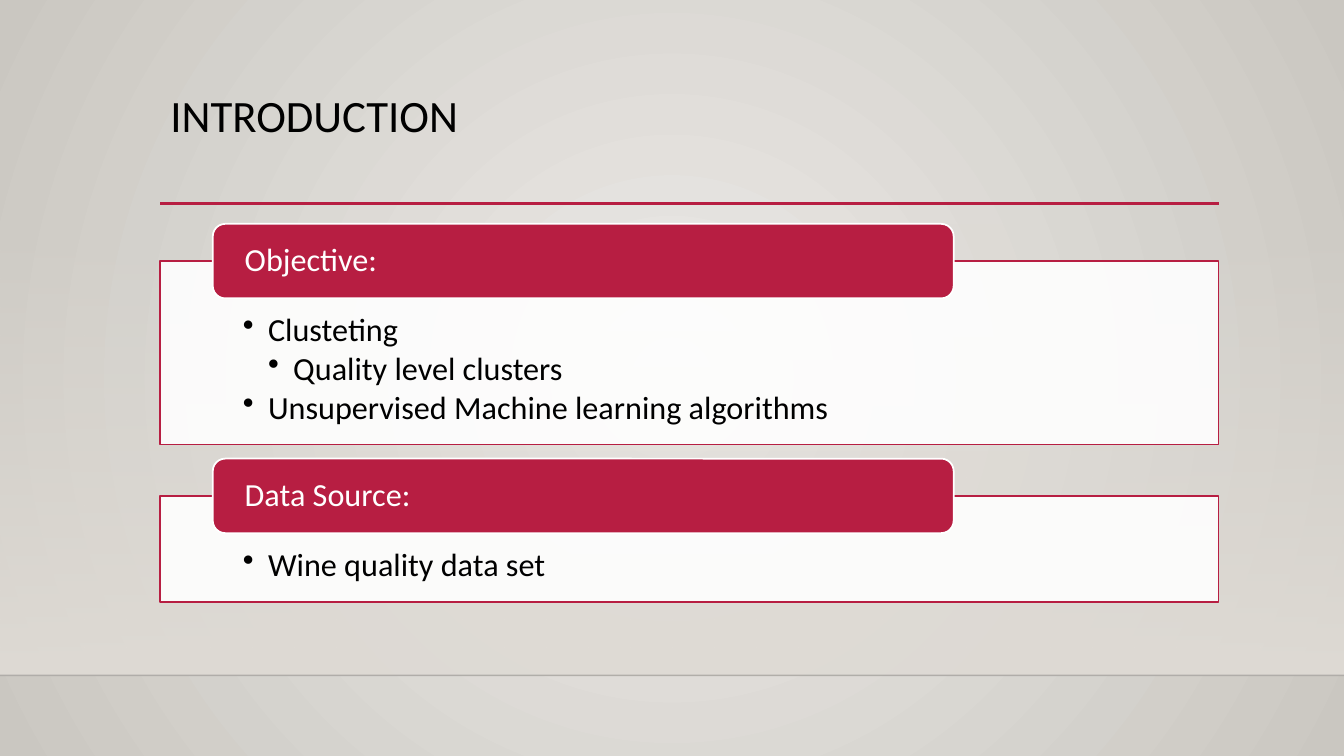
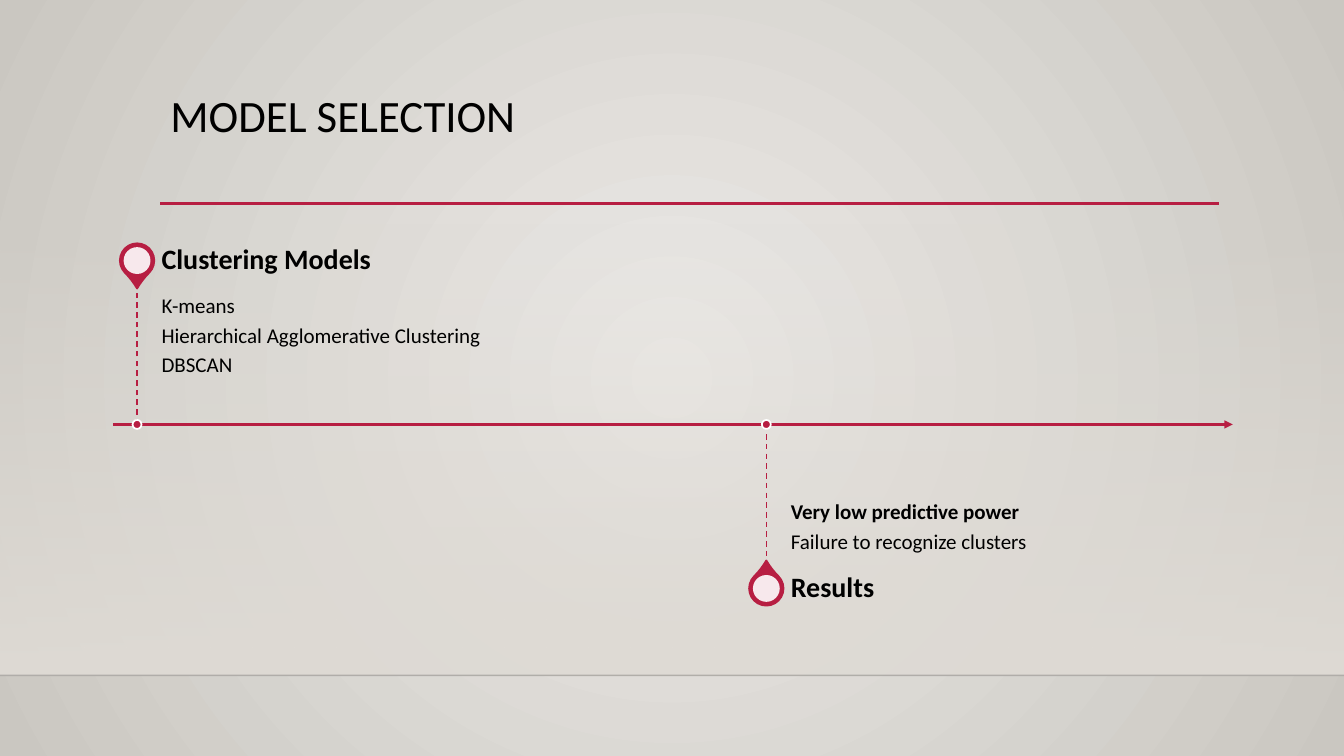
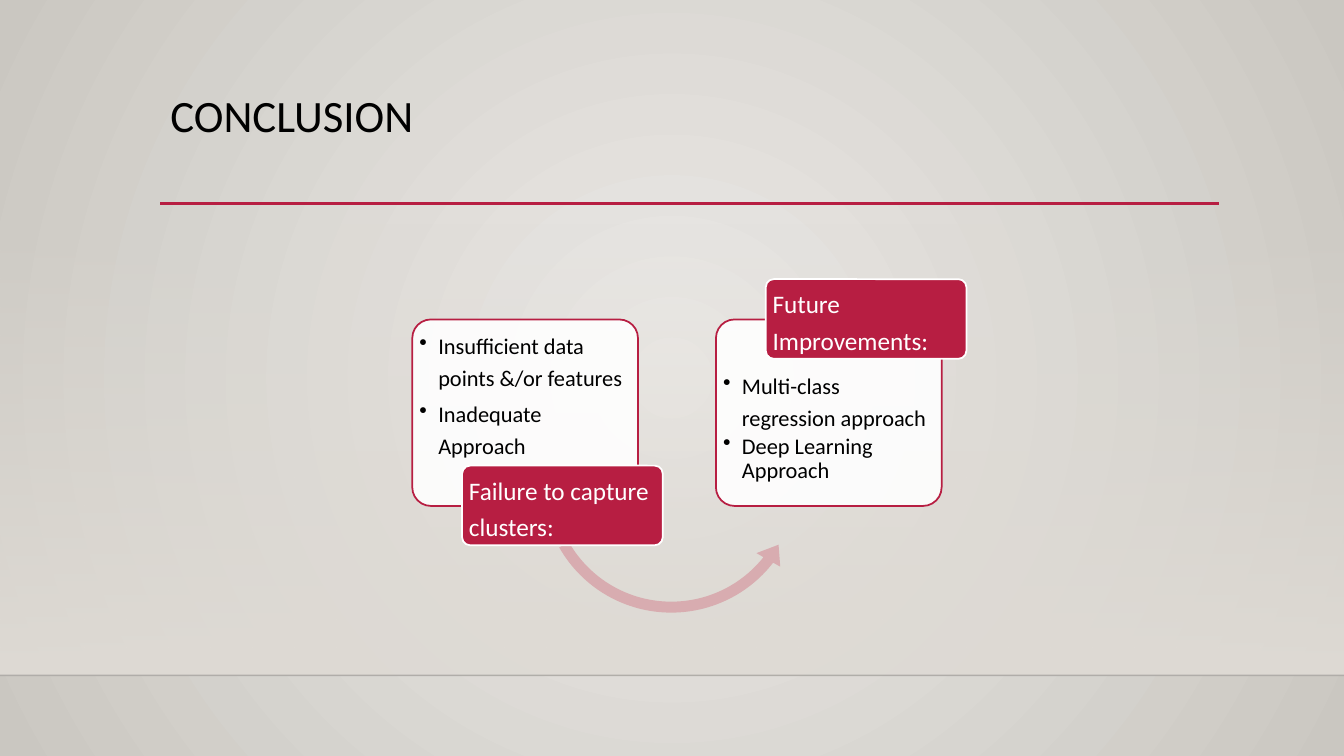
from lxml import etree
from pptx import Presentation
from pptx.dml.color import RGBColor
from pptx.enum.dml import MSO_LINE
from pptx.enum.shapes import MSO_CONNECTOR, MSO_SHAPE
from pptx.enum.text import MSO_ANCHOR, MSO_AUTO_SIZE, PP_ALIGN
from pptx.oxml import parse_xml
from pptx.oxml.ns import qn
from pptx.util import Pt

RECT, ROUNDED = MSO_SHAPE.RECTANGLE, MSO_SHAPE.ROUNDED_RECTANGLE
OVAL, TEAR = MSO_SHAPE.OVAL, MSO_SHAPE.TEAR
CURVED_ARROW = MSO_SHAPE.LEFT_CIRCULAR_ARROW
STRAIGHT, DASH = MSO_CONNECTOR.STRAIGHT, MSO_LINE.DASH
TOP, MIDDLE, BOTTOM = MSO_ANCHOR.TOP, MSO_ANCHOR.MIDDLE, MSO_ANCHOR.BOTTOM
LEFT, NO_FIT = PP_ALIGN.LEFT, MSO_AUTO_SIZE.NONE

BLACK = RGBColor(0x00, 0x00, 0x00)
HORIZON = RGBColor(0x00, 0x00, 0x01)
WHITE = RGBColor(0xFF, 0xFF, 0xFF)
CRIMSON = RGBColor(0xB7, 0x1E, 0x42)
ROSE = RGBColor(0xD8, 0xAC, 0xB0)
LIGHT = RGBColor(0xEC, 0xEA, 0xE7)
STONE = RGBColor(0xCA, 0xC7, 0xC1)
SAND = RGBColor(0xDF, 0xDB, 0xD5)
FONT = "Calibri"
DRAWING_NS = "http://schemas.openxmlformats.org/drawingml/2006/main"

WIDTH, HEIGHT = 960, 540
MARGIN, CONTENT = 114.5, 756


def style(shape, fill=None, line=None, weight=1.25, opacity=100):
    """Set fill, line and opacity, and remove the shadow."""
    if fill is not None:
        shape.fill.solid()
        shape.fill.fore_color.rgb = fill
    if line is None:
        shape.line.fill.background()
    else:
        shape.line.color.rgb = line
        shape.line.width = Pt(weight)
    properties = shape.element.spPr
    if opacity < 100:
        color = properties.find(".//" + qn("a:srgbClr"))
        etree.SubElement(color, qn("a:alpha")).set("val", str(opacity * 1000))
    etree.SubElement(properties, qn("a:effectLst"))


def write(frame, insets, anchor, size, color, lines, gap=0, hang=18):
    """Fill a frame with lines of (text, bold, bullet level, line spacing)."""
    frame.word_wrap = True
    frame.auto_size = NO_FIT
    frame.vertical_anchor = anchor
    frame.margin_left, frame.margin_top, frame.margin_right, frame.margin_bottom = map(Pt, insets)
    for index, (text, bold, level, spacing) in enumerate(lines):
        para = frame.add_paragraph() if index else frame.paragraphs[0]
        para.alignment = LEFT
        para.line_spacing = spacing
        para.space_before = Pt(0)
        para.space_after = Pt(gap)
        if level:
            para.level = level
            settings = para._p.get_or_add_pPr()
            settings.set("marL", str(Pt(level * hang)))
            settings.set("indent", str(-Pt(hang)))
            etree.SubElement(settings, qn("a:buChar")).set("char", "•")
        span = para.add_run()
        span.text = text
        span.font.name = FONT
        span.font.size = Pt(size)
        span.font.bold = bold
        span.font.color.rgb = color


deck = Presentation()
deck.slide_width, deck.slide_height = Pt(WIDTH), Pt(HEIGHT)
layout = deck.slide_layouts[5]

# Slides with their titles
pages = []
for heading in ("INTRODUCTION", "MODEL SELECTION", "CONCLUSION"):
    page = deck.slides.add_slide(layout)
    title = page.shapes.title
    title.left, title.top = Pt(MARGIN), Pt(63.4)
    title.width, title.height = Pt(CONTENT), Pt(82.8)
    write(title.text_frame, (7.2, 3.6, 7.2, 3.6), TOP, 32, BLACK, [(heading, False, 0, 0.9)])
    pages.append(page)
introduction, models, conclusion = pages

# Shared background: radial gradient on the layout
backdrop = layout.background.fill
backdrop.gradient()
for stop, color in zip(backdrop.gradient_stops, (LIGHT, STONE)):
    stop.color.rgb = color
linear = layout.element.find(".//" + qn("a:lin"))
linear.getparent().replace(linear, parse_xml(
    f'<a:path xmlns:a="{DRAWING_NS}" path="circle">'
    '<a:fillToRect l="50000" t="50000" r="50000" b="50000"/></a:path>'))

# Shared decoration: shade, horizon and title rule, moved to the layout
shade = introduction.shapes.add_shape(RECT, Pt(0), Pt(159.1), Pt(WIDTH), Pt(323.3))
shade.fill.gradient()
shade.fill.gradient_angle = 270
for stop in shade.fill.gradient_stops:
    stop.color.rgb = SAND
style(shade, opacity=0)
decoration = [shade]
for left, right, y, color, weight, opacity in (
        (0, WIDTH, 482.4, HORIZON, 1, 20),
        (MARGIN, MARGIN + CONTENT, 145.4, CRIMSON, 2.5, 100)):
    rule = introduction.shapes.add_connector(STRAIGHT, Pt(left), Pt(y), Pt(right), Pt(y))
    style(rule, line=color, weight=weight, opacity=opacity)
    decoration.append(rule)
for index, shape in enumerate(decoration):
    shape.element.find(".//" + qn("p:cNvPr")).set("id", str(20 + index))
    layout.element.cSld.spTree.insert(2 + index, shape.element)

# Introduction: panels with an overlapping label
sections = [
    ("Objective:", 186.5, 131, [
        ("Clusteting", False, 1, 0.9),
        ("Quality level clusters", False, 2, 0.9),
        ("Unsupervised Machine learning algorithms", False, 1, 0.9)]),
    ("Data Source:", 354.2, 75.6, [("Wine quality data set", False, 1, 0.9)]),
]
for name, top, height, lines in sections:
    panel = introduction.shapes.add_shape(RECT, Pt(MARGIN), Pt(top), Pt(CONTENT), Pt(height))
    style(panel, WHITE, CRIMSON, opacity=90)
    write(panel.text_frame, (59, 37.4, 59, 13), TOP, 23, BLACK, lines, gap=3)
    label = introduction.shapes.add_shape(ROUNDED, Pt(152), Pt(top - 26.6), Pt(529.2), Pt(53.2))
    style(label, CRIMSON, WHITE)
    write(label.text_frame, (20.2, 0, 20.2, 0), MIDDLE, 23, WHITE, [(name, False, 0, 0.9)])

# Model selection: timeline axis
AXIS_Y, STEM = 303.2, 99.4
axis = models.shapes.add_connector(STRAIGHT, Pt(80.6), Pt(AXIS_Y), Pt(880.6), Pt(AXIS_Y))
style(axis, line=CRIMSON, weight=1.5)
etree.SubElement(axis.element.spPr.find(qn("a:ln")), qn("a:tailEnd")).set("type", "triangle")

# Model selection: one pin above the axis, one below
milestones = [
    ("Clustering Models", 97.9, -1, 135, TOP, (0, 7.2, 0, 11.5), [
        ("K-means", False, 0, 0.9),
        ("Hierarchical Agglomerative Clustering", False, 0, 0.9),
        ("DBSCAN", False, 0, 0.9)]),
    ("Results", 547.4, 1, 315, BOTTOM, (0, 11.5, 7.2, 7.2), [
        ("Very low predictive power", True, 0, 0.9),
        ("Failure to recognize clusters", False, 0, 0.9)]),
]
for name, x, side, turn, anchor, insets, lines in milestones:
    stem_end = AXIS_Y + side * STEM
    pin_y = stem_end + side * 17.7
    stem = models.shapes.add_connector(STRAIGHT, Pt(x), Pt(AXIS_Y), Pt(x), Pt(stem_end))
    style(stem, line=CRIMSON, weight=1)
    stem.line.dash_style = DASH
    for kind, y, size, fill, line, opacity in (
            (TEAR, pin_y, 24.6, CRIMSON, CRIMSON, 100),
            (OVAL, pin_y, 19.2, WHITE, None, 90),
            (OVAL, AXIS_Y, 6.4, CRIMSON, WHITE, 100)):
        marker = models.shapes.add_shape(
            kind, Pt(x - size / 2), Pt(y - size / 2), Pt(size), Pt(size))
        style(marker, fill, line, opacity=opacity)
        if kind == TEAR:
            marker.adjustments[0] = 1.15
            marker.rotation = turn
    detail = models.shapes.add_textbox(
        Pt(x + 17.5), Pt(min(AXIS_Y, stem_end)), Pt(291), Pt(STEM))
    write(detail.text_frame, insets, anchor, 15, BLACK, lines, gap=5)
    caption = models.shapes.add_textbox(Pt(x + 17.5), Pt(pin_y - 17.7), Pt(291), Pt(35.4))
    write(caption.text_frame, (0, 0, 10, 0), MIDDLE, 20, BLACK, [(name, True, 0, 0.9)])

# Conclusion: two cards with labels, joined by a curved arrow
cards = [
    ("Failure to capture clusters:", 294.5, 332.6, 1.2, [
        ("Insufficient data points &/or features", False, 1, 1.2),
        ("Inadequate Approach", False, 1, 1.2)]),
    ("Future Improvements:", 511.4, 199.4, 30, [
        ("Multi-class regression approach", False, 1, 1.2),
        ("Deep Learning Approach", False, 1, 0.9)]),
]
for index, (name, left, label_top, inset_top, lines) in enumerate(cards):
    card = conclusion.shapes.add_shape(ROUNDED, Pt(left), Pt(228.2), Pt(161.2), Pt(133.2))
    card.adjustments[0] = 0.1
    style(card, WHITE, CRIMSON, opacity=90)
    write(card.text_frame, (1.2, inset_top, 1.2, 1.2), TOP, 16, BLACK, lines, gap=2.5, hang=13.5)
    if index == 0:
        arrow = conclusion.shapes.add_shape(
            CURVED_ARROW, Pt(381.6), Pt(247.7), Pt(195.8), Pt(195.8))
        for slot, value in enumerate((0.04, 5.1, 22.86, 90.25, 0.05)):
            arrow.adjustments[slot] = value
        style(arrow, ROSE)
    label = conclusion.shapes.add_shape(ROUNDED, Pt(left + 35.6), Pt(label_top), Pt(143.3), Pt(56.9))
    label.adjustments[0] = 0.1
    style(label, CRIMSON, WHITE)
    write(label.text_frame, (3.2, 2, 3.2, 2), MIDDLE, 18, WHITE, [(name, False, 0, 1.2)])

deck.save("out.pptx")
